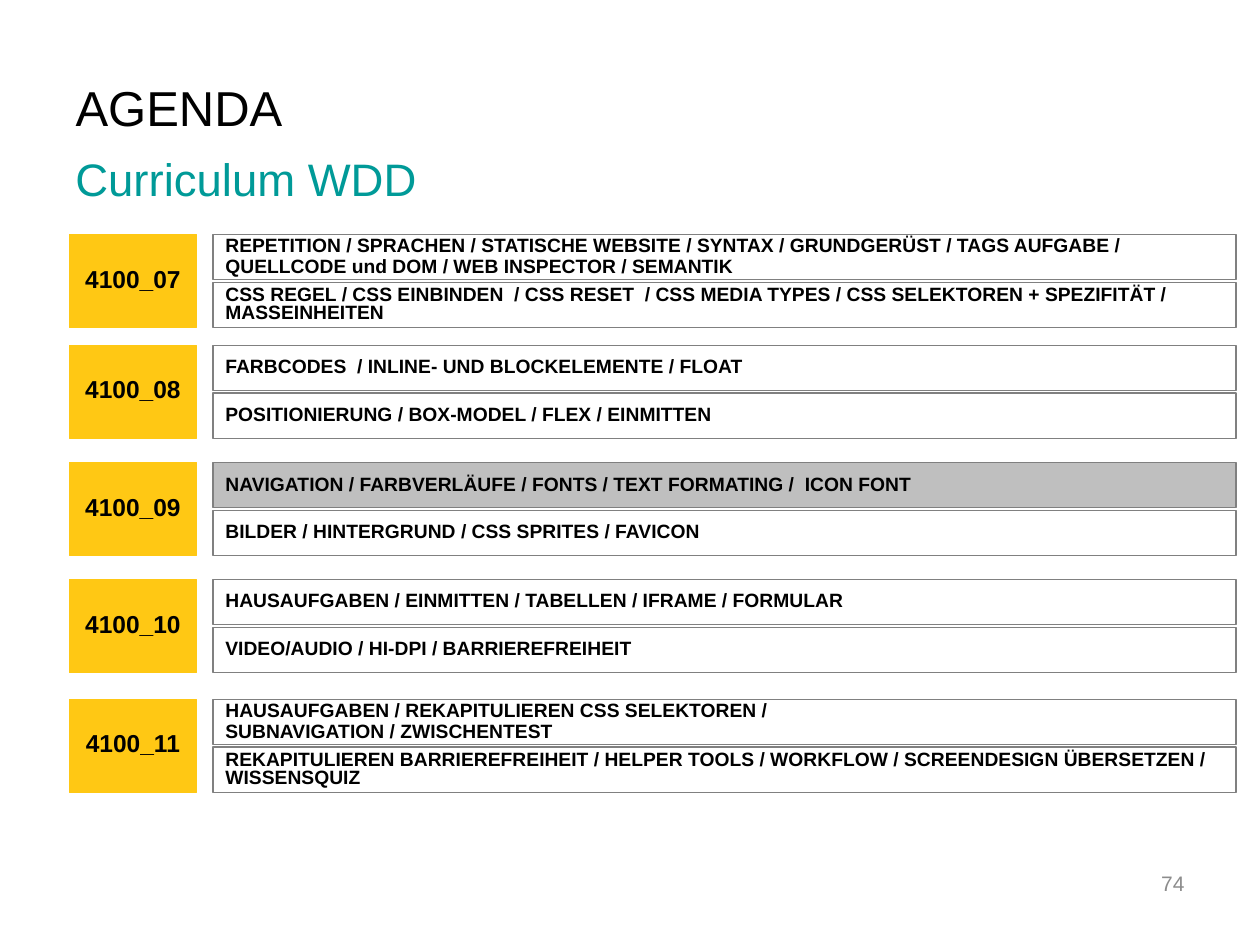
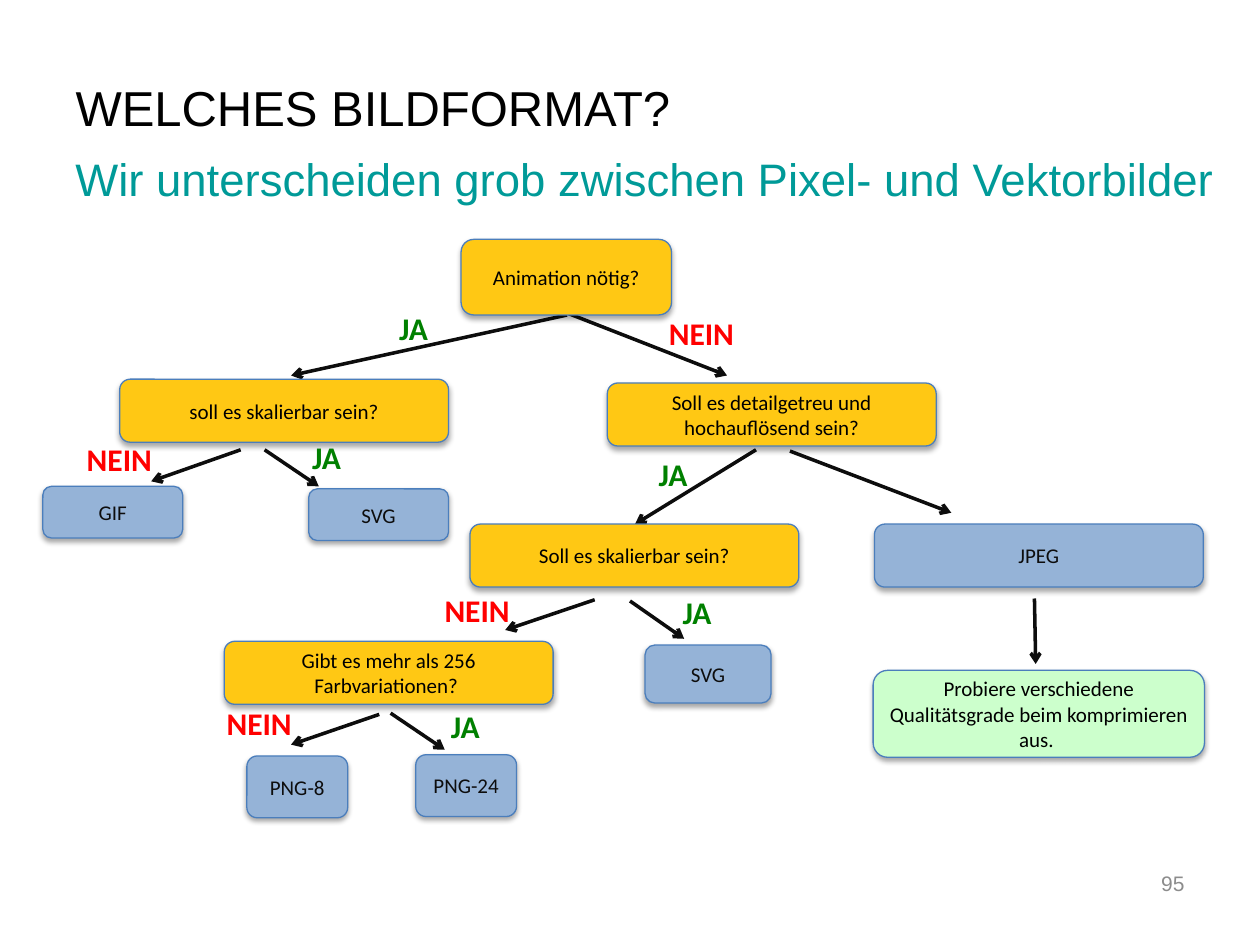
import pptx
import pptx.dml.color
import pptx.enum.shapes
import pptx.enum.text
import pptx.oxml
import pptx.oxml.ns
import pptx.util

Inches = pptx.util.Inches
Pt = pptx.util.Pt
SHAPES = pptx.enum.shapes.MSO_SHAPE
ALIGN = pptx.enum.text.PP_ALIGN
ANCHOR = pptx.enum.text.MSO_ANCHOR

BLACK, INK, WHITE = "000000", "0D0D0D", "FFFFFF"
YELLOW, TEAL, GREY, HIGHLIGHT = "FFC814", "009A98", "808080", "BFBFBF"

TITLE_FORMAT = {"size": Pt(28), "name": "Arial", "color": BLACK}
SUBTITLE_FORMAT = {"size": Pt(26), "name": "Arial", "color": TEAL}
NUMBER_FORMAT = {"size": Pt(12), "name": "Arial", "color": "8C8C8C"}
LESSON_FORMAT = {"size": Pt(14), "name": "Arial", "bold": True, "color": BLACK}
TOPIC_FORMAT = {"size": Pt(11), "name": "Arial", "bold": True, "color": BLACK}
BOX_FORMAT = {"size": Pt(12), "name": "Calibri", "color": BLACK}
BRANCH_FORMAT = {"size": Pt(18), "name": "Calibri", "bold": True}

AGENDA = {
    "title": "AGENDA",
    "subtitle": "Curriculum WDD",
    "number": "74",
}
LESSONS = [
    ("4100_07", 1.86, [
        ("REPETITION / SPRACHEN / STATISCHE WEBSITE / SYNTAX / GRUNDGERÜST / TAGS AUFGABE / "
         "QUELLCODE und DOM / WEB INSPECTOR / SEMANTIK", 0.9),
        ("CSS REGEL / CSS EINBINDEN  / CSS RESET  / CSS MEDIA TYPES / "
         "CSS SELEKTOREN + SPEZIFITÄT / MASSEINHEITEN", 0.8)]),
    ("4100_08", 2.74, [
        ("FARBCODES  / INLINE- UND BLOCKELEMENTE / FLOAT", 0.8),
        ("POSITIONIERUNG / BOX-MODEL / FLEX / EINMITTEN", 0.8)]),
    ("4100_09", 3.67, [
        ("NAVIGATION / FARBVERLÄUFE / FONTS / TEXT FORMATING /  ICON FONT", 0.9),
        ("BILDER / HINTERGRUND / CSS SPRITES / FAVICON", 0.8)]),
    ("4100_10", 4.6, [
        ("HAUSAUFGABEN / EINMITTEN / TABELLEN / IFRAME / FORMULAR", 0.8),
        ("VIDEO/AUDIO / HI-DPI / BARRIEREFREIHEIT", 0.8)]),
    ("4100_11", 5.55, [
        ("HAUSAUFGABEN / REKAPITULIEREN CSS SELEKTOREN / \nSUBNAVIGATION / ZWISCHENTEST", 0.9),
        ("REKAPITULIEREN BARRIEREFREIHEIT / HELPER TOOLS / WORKFLOW / "
         "SCREENDESIGN ÜBERSETZEN / WISSENSQUIZ", 0.8)]),
]
CURRENT_TOPIC = LESSONS[2][2][0]

IMAGE_FORMAT = {
    "title": "WELCHES BILDFORMAT?",
    "subtitle": "Wir unterscheiden grob zwischen Pixel- und Vektorbilder",
    "number": "95",
}
BOX_STYLES = {
    "question": (YELLOW, BLACK),
    "answer": ("95B3D7", INK),
    "tip": ("CCFFCC", BLACK),
}
DECISION_BOXES = [
    ("question", "Animation nötig?", (3.66, 1.9, 1.67, 0.6)),
    ("question", "soll es skalierbar sein?", (0.95, 3.01, 2.61, 0.5)),
    ("question", "Soll es detailgetreu und hochauflösend sein?", (4.82, 3.04, 2.61, 0.5)),
    ("question", "Soll es skalierbar sein?", (3.73, 4.16, 2.61, 0.5)),
    ("question", "Gibt es mehr als 256 Farbvariationen? ", (1.78, 5.09, 2.61, 0.5)),
    ("answer", "GIF", (0.34, 3.86, 1.11, 0.41)),
    ("answer", "SVG", (2.45, 3.88, 1.11, 0.41)),
    ("answer", "JPEG", (6.94, 4.16, 2.61, 0.5)),
    ("answer", "SVG", (5.12, 5.12, 1, 0.46)),
    ("answer", "PNG-8", (1.96, 6, 0.8, 0.49)),
    ("answer", "PNG-24", (3.3, 5.99, 0.8, 0.49)),
    ("tip", "Probiere verschiedene Qualitätsgrade beim komprimieren aus. ", (6.93, 5.32, 2.63, 0.69)),
]
ARROWS = [
    (4.49, 2.48, 5.77, 2.98),
    (4.5, 2.5, 2.31, 2.98),
    (1.91, 3.57, 1.2, 3.82),
    (2.1, 3.57, 2.53, 3.86),
    (6, 3.57, 5.04, 4.16),
    (6.27, 3.58, 7.55, 4.07),
    (4.72, 4.76, 4.01, 5),
    (5, 4.77, 5.43, 5.07),
    (3.01, 5.67, 2.31, 5.91),
    (3.1, 5.66, 3.53, 5.95),
    (8.21, 4.75, 8.22, 5.27),
]
BRANCHES = {
    "JA": ("008000", 0.44, [(3.07, 2.4), (2.38, 3.43), (5.13, 3.56), (5.32, 4.66), (3.48, 5.56)]),
    "NEIN": ("FF0000", 0.86, [(5.21, 2.44), (0.59, 3.44), (3.43, 4.64), (1.7, 5.54)]),
}


def rgb(value):
    return pptx.dml.color.RGBColor.from_string(value)


def element(name, content="", **attributes):
    listed = "".join(f' {key}="{value}"' for key, value in attributes.items())
    namespace = pptx.oxml.ns.nsdecls("a")
    return pptx.oxml.parse_xml(f"<a:{name} {namespace}{listed}>{content}</a:{name}>")


def write_text(shape, text, font_format, paragraph_format=None, anchor=ANCHOR.MIDDLE):
    frame = shape.text_frame
    frame.word_wrap = True
    frame.vertical_anchor = anchor
    paragraph = frame.paragraphs[0]
    paragraph.text = text
    for name, value in {"alignment": ALIGN.LEFT, **(paragraph_format or {})}.items():
        setattr(paragraph, name, value)
    for run in paragraph.runs:
        for name, value in font_format.items():
            if name == "color":
                run.font.color.rgb = rgb(value)
            else:
                setattr(run.font, name, value)


def add_text(slide, place, text, font_format, **options):
    write_text(slide.shapes.add_textbox(*map(Inches, place)), text, font_format, **options)


def add_box(slide, kind, place, fill, line):
    shape = slide.shapes.add_shape(kind, *map(Inches, place))
    shape.shadow.inherit = False
    shape.fill.solid()
    shape.fill.fore_color.rgb = rgb(fill)
    shape.line.color.rgb = rgb(line)
    shape.line.width = Pt(0.75)
    return shape


def add_slide(presentation, heading):
    slide = presentation.slides.add_slide(presentation.slide_layouts[5])
    title = slide.shapes.title
    for name, value in {"left": 0.5, "top": 0.56, "width": 7.73, "height": 0.57}.items():
        setattr(title, name, Inches(value))
    write_text(title, heading["title"], TITLE_FORMAT)
    add_text(slide, (0.5, 1.15, 9.5, 0.54), heading["subtitle"], SUBTITLE_FORMAT, anchor=ANCHOR.TOP)
    add_text(slide, (8.83, 6.81, 0.67, 0.4), heading["number"], NUMBER_FORMAT,
             paragraph_format={"alignment": ALIGN.RIGHT})
    return slide


def add_lesson(slide, lesson, top, topics):
    label = add_box(slide, SHAPES.RECTANGLE, (0.55, top, 1.01, 0.74), YELLOW, YELLOW)
    write_text(label, lesson, LESSON_FORMAT,
               {"alignment": ALIGN.CENTER, "line_spacing": 0.8, "space_after": Pt(6)})
    for row, topic in enumerate(topics):
        text, spacing = topic
        fill = HIGHLIGHT if topic == CURRENT_TOPIC else WHITE
        place = (1.69, top + row * 0.38, 8.12, 0.36)
        bar = add_box(slide, SHAPES.RECTANGLE, place, fill, GREY)
        write_text(bar, text, TOPIC_FORMAT, {"line_spacing": spacing, "space_after": Pt(6)})


def add_arrow(slide, points):
    straight = pptx.enum.shapes.MSO_CONNECTOR.STRAIGHT
    arrow = slide.shapes.add_connector(straight, *map(Inches, points))
    arrow.line.color.rgb = rgb(INK)
    arrow.line.width = Pt(2)
    properties = arrow.element.spPr
    properties.find(pptx.oxml.ns.qn("a:ln")).append(element("tailEnd", type="arrow"))
    properties.append(element("effectLst"))


def add_decision_box(slide, style, text, place):
    fill, color = BOX_STYLES[style]
    box = add_box(slide, SHAPES.ROUNDED_RECTANGLE, place, fill, "4B7EBC")
    shade = '<a:srgbClr val="000000"><a:alpha val="35000"/></a:srgbClr>'
    effects = box.element.spPr.find(pptx.oxml.ns.qn("a:effectLst"))
    effects.append(element("outerShdw", shade, blurRad=Pt(3.1), dist=Pt(1.8), dir=90 * 60000, rotWithShape=0))
    write_text(box, text, {**BOX_FORMAT, "color": color}, {"alignment": ALIGN.CENTER})


def main():
    presentation = pptx.Presentation()
    presentation.slide_width = Inches(10)
    presentation.slide_height = Inches(7.5)

    agenda = add_slide(presentation, AGENDA)
    for lesson in LESSONS:
        add_lesson(agenda, *lesson)

    decision = add_slide(presentation, IMAGE_FORMAT)
    for points in ARROWS:
        add_arrow(decision, points)
    for box in DECISION_BOXES:
        add_decision_box(decision, *box)
    for text, (color, width, positions) in BRANCHES.items():
        for left, top in positions:
            add_text(decision, (left, top, width, 0.4), text,
                     {**BRANCH_FORMAT, "color": color}, anchor=ANCHOR.TOP)

    presentation.save("out.pptx")


if __name__ == "__main__":
    main()
